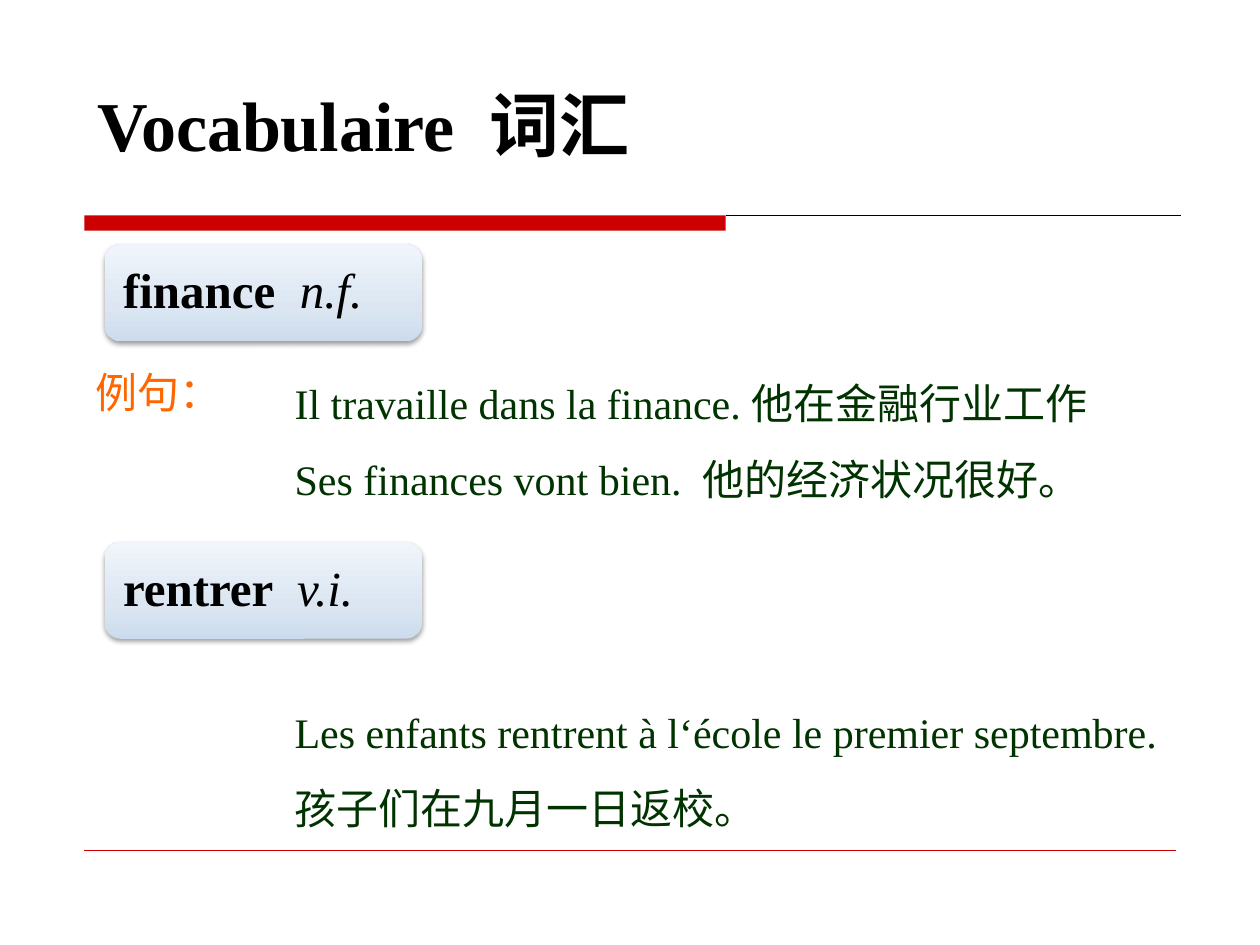
from dataclasses import dataclass

from lxml.etree import SubElement
from pptx import Presentation
from pptx.dml.color import RGBColor
from pptx.enum.shapes import MSO_CONNECTOR, MSO_SHAPE
from pptx.enum.text import MSO_ANCHOR, PP_ALIGN
from pptx.oxml import parse_xml
from pptx.oxml.ns import nsdecls, qn
from pptx.util import Inches, Pt

CELL = 0.1  # inches per grid column and row


@dataclass(frozen=True)
class Theme:
    latin: str = "Times New Roman"
    chinese: str = "Noto Sans CJK SC"
    ink: str = "000000"
    accent: str = "CC0000"
    example: str = "003300"
    caption: str = "FF6600"
    card_stops: tuple = ((0, "CCDCEE"), (35, "DBE6F2"), (100, "F0F5FB"))
    title_size: int = 40
    word_size: int = 28
    body_size: int = 24


@dataclass(frozen=True)
class Area:
    """A place on the slide, in grid columns and rows."""
    column: float
    row: float
    columns: float
    rows: float

    def lengths(self) -> tuple:
        return tuple(grid(n) for n in (self.column, self.row, self.columns, self.rows))


@dataclass(frozen=True)
class Entry:
    word: str
    category: str
    card_row: float
    examples_row: float
    examples: tuple


THEME = Theme()
ENTRIES = (
    Entry("finance", "n.f.", 19.4, 27.5,
          ("Il travaille dans la\u00a0finance. 他在金融行业工作",
           "Ses\u00a0finances\u00a0vont bien.  他的经济状况很好。")),
    Entry("rentrer", "v.i.", 43, 53.6,
          ("Les enfants\u00a0rentrent\u00a0à l‘école le premier septembre.",
           "孩子们在九月一日返校。")),
)


def grid(count: float) -> int:
    return Inches(count * CELL)


def style_run(run, size: int, color: str, latin: str = THEME.latin,
              bold: bool = False, italic: bool = False) -> None:
    font = run.font
    font.name, font.size, font.bold, font.italic = latin, Pt(size), bold, italic
    font.color.rgb = RGBColor.from_string(color)
    SubElement(run._r.get_or_add_rPr(), qn("a:ea"), typeface=THEME.chinese)


def add_title(slide, text: str, area: Area) -> None:
    title = slide.shapes.title
    title.left, title.top, title.width, title.height = area.lengths()
    frame = title.text_frame
    frame.text = text
    frame.vertical_anchor = MSO_ANCHOR.TOP
    frame.paragraphs[0].alignment = PP_ALIGN.LEFT
    style_run(frame.paragraphs[0].runs[0], THEME.title_size, THEME.ink, bold=True)


def add_rule(slide, start: float, end: float, row: float, color: str, width: float) -> None:
    rule = slide.shapes.add_connector(
        MSO_CONNECTOR.STRAIGHT, grid(start), grid(row), grid(end), grid(row))
    rule.line.color.rgb = RGBColor.from_string(color)
    rule.line.width = Pt(width)
    SubElement(rule._element.spPr, qn("a:effectLst"))


def add_bar(slide, area: Area) -> None:
    bar = slide.shapes.add_shape(MSO_SHAPE.RECTANGLE, *area.lengths())
    bar.shadow.inherit = False
    bar.fill.solid()
    bar.fill.fore_color.rgb = RGBColor.from_string(THEME.accent)
    bar.line.fill.background()


def add_text(slide, area: Area, lines: tuple, color: str,
             spacing: float = 1.0, latin: str = THEME.latin) -> None:
    frame = slide.shapes.add_textbox(*area.lengths()).text_frame
    frame.word_wrap = True
    frame.text = "\n".join(lines)
    for paragraph in frame.paragraphs:
        paragraph.line_spacing = spacing
        for run in paragraph.runs:
            style_run(run, THEME.body_size, color, latin)


def shade_card(card) -> None:
    """Give the card its vertical gradient and soft drop shadow."""
    stops = "".join(f'<a:gs pos="{share * 1000}"><a:srgbClr val="{color}"/></a:gs>'
                    for share, color in THEME.card_stops)
    gradient = parse_xml(
        f'<a:gradFill {nsdecls("a")} rotWithShape="1"><a:gsLst>{stops}</a:gsLst>'
        '<a:lin ang="16200000" scaled="0"/></a:gradFill>')
    shadow = parse_xml(
        f'<a:effectLst {nsdecls("a")}><a:outerShdw blurRad="{Pt(3.1)}" dist="{Pt(1.6)}" '
        'dir="5400000" rotWithShape="0"><a:srgbClr val="000000"><a:alpha val="38000"/>'
        '</a:srgbClr></a:outerShdw></a:effectLst>')
    card.line.fill.background()
    properties = card._element.spPr
    properties.find(qn("a:prstGeom")).addnext(gradient)
    properties.append(shadow)


def add_word_card(slide, entry: Entry) -> None:
    area = Area(8.3, entry.card_row, 25.2, 7.7)
    card = slide.shapes.add_shape(MSO_SHAPE.ROUNDED_RECTANGLE, *area.lengths())
    shade_card(card)
    frame = card.text_frame
    frame.margin_left = frame.margin_right = Inches(0.11)
    frame.vertical_anchor = MSO_ANCHOR.MIDDLE
    label = frame.paragraphs[0]
    label.alignment = PP_ALIGN.LEFT
    label.line_spacing = 0.9
    word, category = label.add_run(), label.add_run()
    word.text, category.text = f"{entry.word}  ", entry.category
    style_run(word, THEME.word_size, THEME.ink, bold=True)
    style_run(category, THEME.word_size, THEME.ink, italic=True)


def main() -> None:
    deck = Presentation()
    deck.slide_width, deck.slide_height = Inches(10), Inches(7.5)
    slide = deck.slides.add_slide(deck.slide_layouts.get_by_name("Title Only"))

    add_bar(slide, Area(6.7, 17.1, 50.9, 1.2))
    add_rule(slide, 57.6, 93.7, 17.1, THEME.ink, 0.75)
    add_rule(slide, 6.7, 93.3, 67.5, THEME.accent, 0.25)
    add_title(slide, "Vocabulaire  词汇", Area(6.7, 6, 78, 7.7))
    add_text(slide, Area(6.6, 28.6, 19.7, 5), ("例句：",), THEME.caption,
             latin=THEME.chinese)
    for entry in ENTRIES:
        add_word_card(slide, entry)
        add_text(slide, Area(22.4, entry.examples_row, 87.4, 12.4),
                 entry.examples, THEME.example, spacing=1.5)

    deck.save("out.pptx")


if __name__ == "__main__":
    main()
